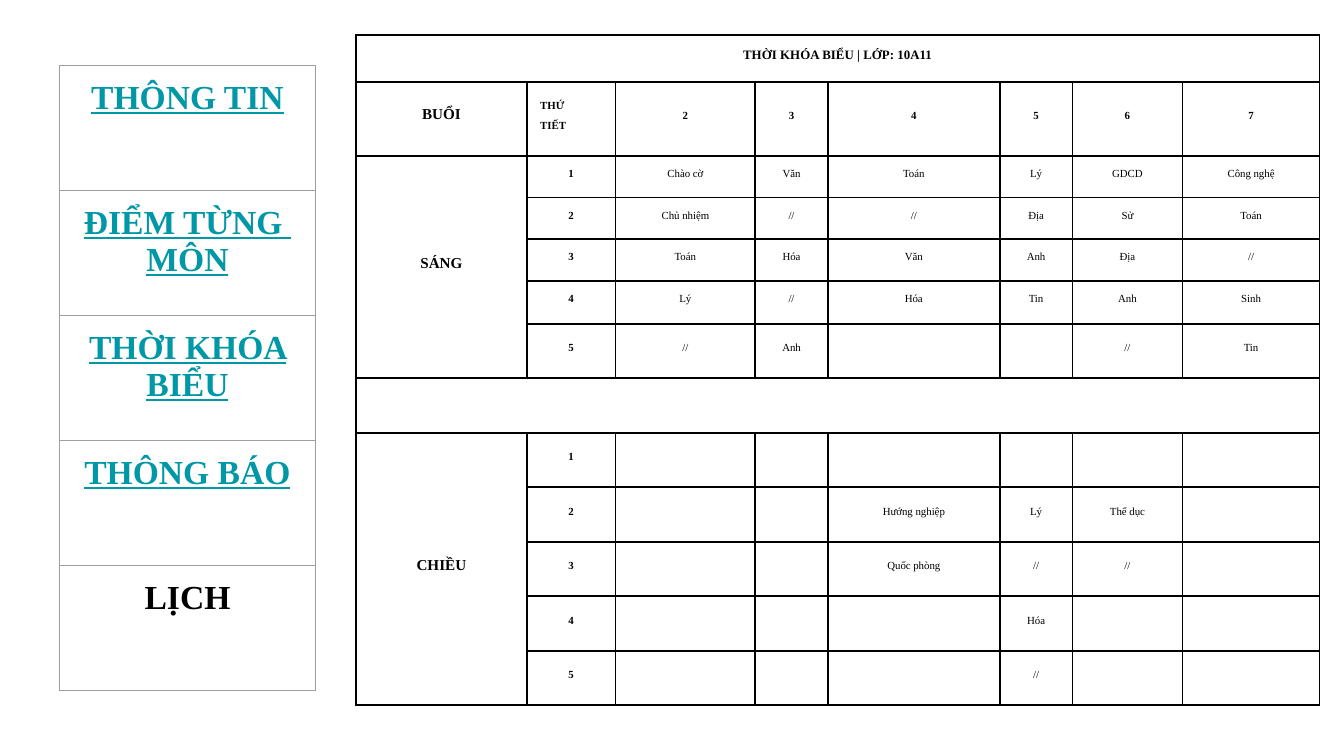
from lxml.etree import SubElement
from pptx import Presentation
from pptx.dml.color import RGBColor
from pptx.enum.text import MSO_ANCHOR as Anchor, PP_ALIGN as Align
from pptx.oxml.ns import qn
from pptx.util import Inches, Pt

FONT = "Times New Roman"
COLORS = {"text": "000000", "link": "0097A7", "grid": "000000", "menu": "9E9E9E"}

MENU = ["THÔNG TIN", "ĐIỂM TỪNG  MÔN", "THỜI KHÓA BIỂU", "THÔNG BÁO", "LỊCH"]
CURRENT = "LỊCH"

TITLE = "THỜI KHÓA BIỂU | LỚP: 10A11"
HEADER = ["BUỔI", "THỨ\nTIẾT", "2", "3", "4", "5", "6", "7"]
SESSIONS = {
    "SÁNG": [
        ["Chào cờ", "Văn", "Toán", "Lý", "GDCD", "Công nghệ"],
        ["Chủ nhiệm", "//", "//", "Địa", "Sử", "Toán"],
        ["Toán", "Hóa", "Văn", "Anh", "Địa", "//"],
        ["Lý", "//", "Hóa", "Tin", "Anh", "Sinh"],
        ["//", "Anh", "", "", "//", "Tin"],
    ],
    "CHIỀU": [
        ["", "", "", "", "", ""],
        ["", "", "Hướng nghiệp", "Lý", "Thể dục", ""],
        ["", "", "Quốc phòng", "//", "//", ""],
        ["", "", "", "Hóa", "", ""],
        ["", "", "", "//", "", ""],
    ],
}
COLUMN_WIDTHS = [1.27, 0.66, 1.04, 0.54, 1.28, 0.54, 0.82, 1.02]
ROW_HEIGHTS = [0.35, 0.55, 0.31, 0.31, 0.31, 0.32, 0.36,
               0.31, 0.31, 0.33, 0.33, 0.33, 0.31]
MENU_WIDTH, MENU_HEIGHT = 1.91, 0.93


def add_grid(slide, left, top, widths, heights, border, border_width):
    """Add an unfilled table whose cells all have the same border."""
    frame = slide.shapes.add_table(
        len(heights), len(widths), Inches(left), Inches(top),
        Inches(sum(widths)), Inches(sum(heights)))
    table = frame.table
    table.first_row = table.horz_banding = False
    for column, width in zip(table.columns, widths):
        column.width = Inches(width)
    for row, height in zip(table.rows, heights):
        row.height = Inches(height)
    for cell in table.iter_cells():
        properties = cell._tc.get_or_add_tcPr()
        for side in ("a:lnL", "a:lnR", "a:lnT", "a:lnB"):
            line = SubElement(properties, qn(side), w=str(Pt(border_width)))
            fill = SubElement(line, qn("a:solidFill"))
            SubElement(fill, qn("a:srgbClr"), val=border)
        cell.fill.background()
    return table


def write(cell, text, size, color="text", bold=True, underline=False,
          align=Align.CENTER, raised=False):
    for index, words in enumerate(text.split("\n")):
        frame = cell.text_frame
        paragraph = frame.add_paragraph() if index else frame.paragraphs[0]
        paragraph.alignment = align
        run = paragraph.add_run()
        run.text = words
        if raised:
            run._r.get_or_add_rPr().set("baseline", "30000")
        font = paragraph.font
        font.name, font.size = FONT, Pt(size)
        font.bold, font.underline = bold, underline
        font.color.rgb = RGBColor.from_string(COLORS[color])


def write_lesson(cell, text, size=10, **style):
    if text:
        cell.vertical_anchor = Anchor.MIDDLE
        write(cell, text, size, raised=True, **style)


def add_timetable(slide):
    table = add_grid(slide, 2.65, 0.26, COLUMN_WIDTHS, ROW_HEIGHTS,
                     COLORS["grid"], 1)
    last = len(COLUMN_WIDTHS) - 1

    table.cell(0, 0).merge(table.cell(0, last))
    write_lesson(table.cell(0, 0), TITLE, 12)
    for column, text in enumerate(HEADER):
        write_lesson(table.cell(1, column), text, 10 if column else 14,
                     align=Align.LEFT if "\n" in text else Align.CENTER)

    top = 2
    for session, lessons in SESSIONS.items():
        if top > 2:
            table.cell(top, 0).merge(table.cell(top, last))
            top += 1
        table.cell(top, 0).merge(table.cell(top + len(lessons) - 1, 0))
        write_lesson(table.cell(top, 0), session, 14)
        for period, subjects in enumerate(lessons, 1):
            write_lesson(table.cell(top, 1), str(period))
            for column, subject in enumerate(subjects, 2):
                write_lesson(table.cell(top, column), subject, bold=False)
            top += 1


def add_menu(slide):
    table = add_grid(slide, 0.44, 0.49, [MENU_WIDTH], [MENU_HEIGHT] * len(MENU),
                     COLORS["menu"], 0.75)
    for row, label in enumerate(MENU):
        cell = table.cell(row, 0)
        cell.margin_left = cell.margin_right = Inches(0.1)
        cell.margin_top = cell.margin_bottom = Inches(0.1)
        is_link = label != CURRENT
        write(cell, label, 18, "link" if is_link else "text", underline=is_link)


def main():
    presentation = Presentation()
    presentation.slide_width = Inches(10)
    presentation.slide_height = presentation.slide_width * 9 // 16
    slide = presentation.slides.add_slide(presentation.slide_layouts[6])
    add_timetable(slide)
    add_menu(slide)
    presentation.save("out.pptx")


if __name__ == "__main__":
    main()
